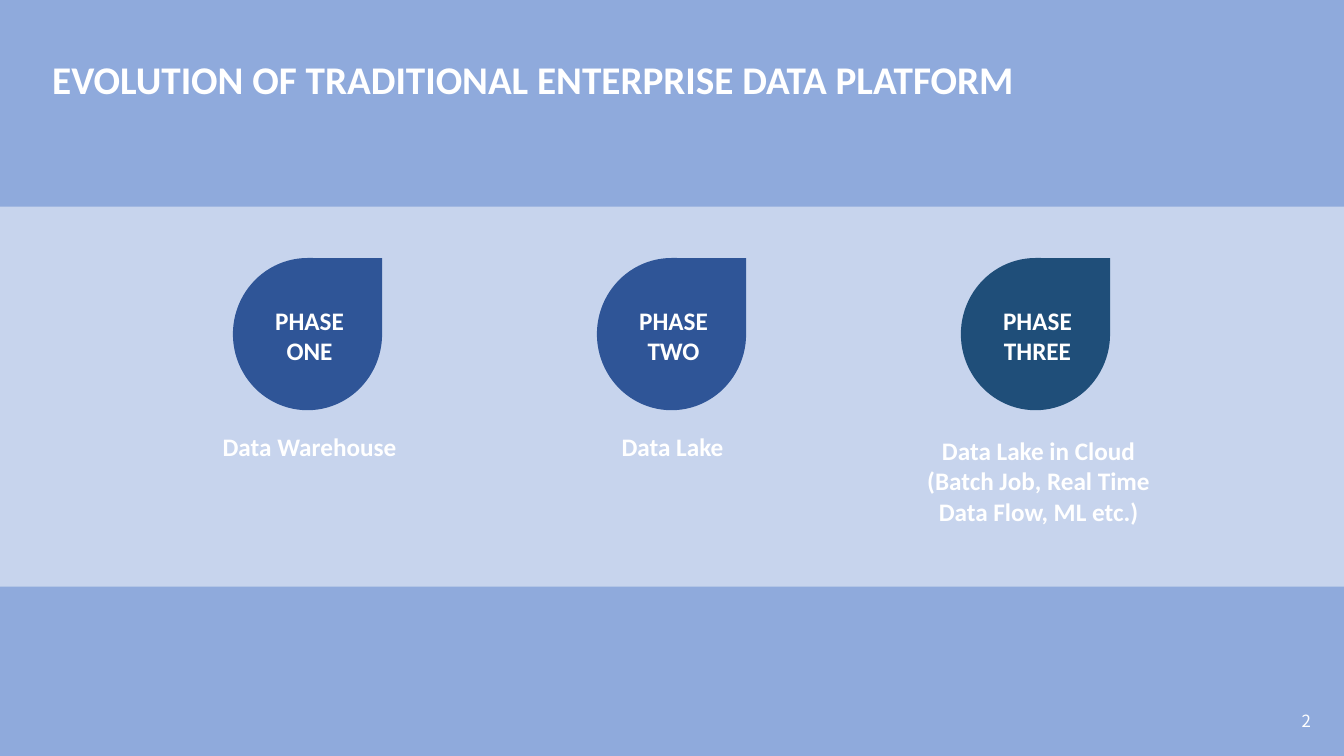
import pptx
import pptx.dml.color
import pptx.enum.shapes
import pptx.enum.text
import pptx.oxml
import pptx.oxml.ns
import pptx.util

PX = 9144
WHITE = "FFFFFF"
ALIGN = pptx.enum.text.PP_ALIGN
ANCHOR = pptx.enum.text.MSO_ANCHOR
SHAPE = pptx.enum.shapes.MSO_SHAPE


def px(*lengths):
    """Turn pixel lengths into EMU."""
    return [pptx.util.Emu(length * PX) for length in lengths]


def rgb(color):
    """Turn a hex string into a colour."""
    return pptx.dml.color.RGBColor.from_string(color)


def write(shape, text, size=18, font="Calibri", bold=True, align=ALIGN.CENTER,
          anchor=ANCHOR.TOP, spacing=None):
    """Write one white paragraph in a shape."""
    frame = shape.text_frame
    frame.word_wrap = True
    frame.vertical_anchor = anchor
    paragraph = frame.paragraphs[0]
    paragraph.alignment = align
    paragraph.line_spacing = spacing
    run = paragraph.add_run()
    run.text = text
    run.font.size = pptx.util.Pt(size)
    run.font.name = font
    run.font.bold = bold
    run.font.color.rgb = rgb(WHITE)
    if not font.isascii() or font.startswith("Noto"):
        east_asian = pptx.oxml.parse_xml(
            f'<a:ea {pptx.oxml.ns.nsdecls("a")} typeface="{font}"/>')
        run.font._element.append(east_asian)


def add_text(slide, box, text, **text_format):
    """Add a text box."""
    write(slide.shapes.add_textbox(*px(*box)), text, **text_format)


def add_filled(shapes, kind, box, color, opacity=100):
    """Add a borderless shape with a solid fill."""
    shape = shapes.add_shape(kind, *px(*box))
    shape.shadow.inherit = False
    shape.fill.solid()
    shape.fill.fore_color.rgb = rgb(color)
    shape.line.fill.background()
    if opacity < 100:
        alpha = pptx.oxml.parse_xml(
            f'<a:alpha {pptx.oxml.ns.nsdecls("a")} val="{opacity * 1000}"/>')
        shape.fill._xPr.find(".//" + pptx.oxml.ns.qn("a:srgbClr")).append(alpha)
    return shape


def add_phase(slide, left, name, color, caption, caption_box):
    """Add a teardrop with its phase name and the caption below."""
    phase = slide.shapes.add_group_shape()
    add_filled(phase.shapes, SHAPE.TEAR, (left, 256, 148, 151), color)
    label = add_filled(phase.shapes, SHAPE.RECTANGLE, (left + 20, 298, 112, 71), color)
    write(label, name)
    add_text(slide, caption_box, caption)


def main():
    """Build the slide and save it."""
    deck = pptx.Presentation()
    deck.slide_width, deck.slide_height = px(1333, 750)
    slide = deck.slides.add_slide(deck.slide_layouts[6])
    slide.background.fill.solid()
    slide.background.fill.fore_color.rgb = rgb("8FAADC")

    add_text(slide, (1010, 695, 300, 40), "2", size=12, font="Noto Sans CJK SC",
             bold=False, align=ALIGN.RIGHT, anchor=ANCHOR.MIDDLE)
    add_text(slide, (42, 19, 1254, 88),
             "EVOLUTION OF TRADITIONAL ENTERPRISE DATA PLATFORM",
             size=28, align=ALIGN.LEFT, anchor=ANCHOR.BOTTOM, spacing=0.9)
    add_filled(slide.shapes, SHAPE.RECTANGLE, (0, 205, 1333, 377), WHITE, opacity=50)

    phases = [
        ("PHASE ONE", "2F5597", "Data Warehouse", (186, 423, 242, 40)),
        ("PHASE TWO", "2F5597", "Data Lake", (546, 423, 242, 40)),
        ("PHASE THREE", "1F4E79",
         "Data Lake in Cloud (Batch Job, Real Time Data Flow, ML etc.)",
         (909, 427, 242, 131)),
    ]
    for index, phase in enumerate(phases):
        add_phase(slide, 231 + 361 * index, *phase)

    deck.save("out.pptx")


if __name__ == "__main__":
    main()
